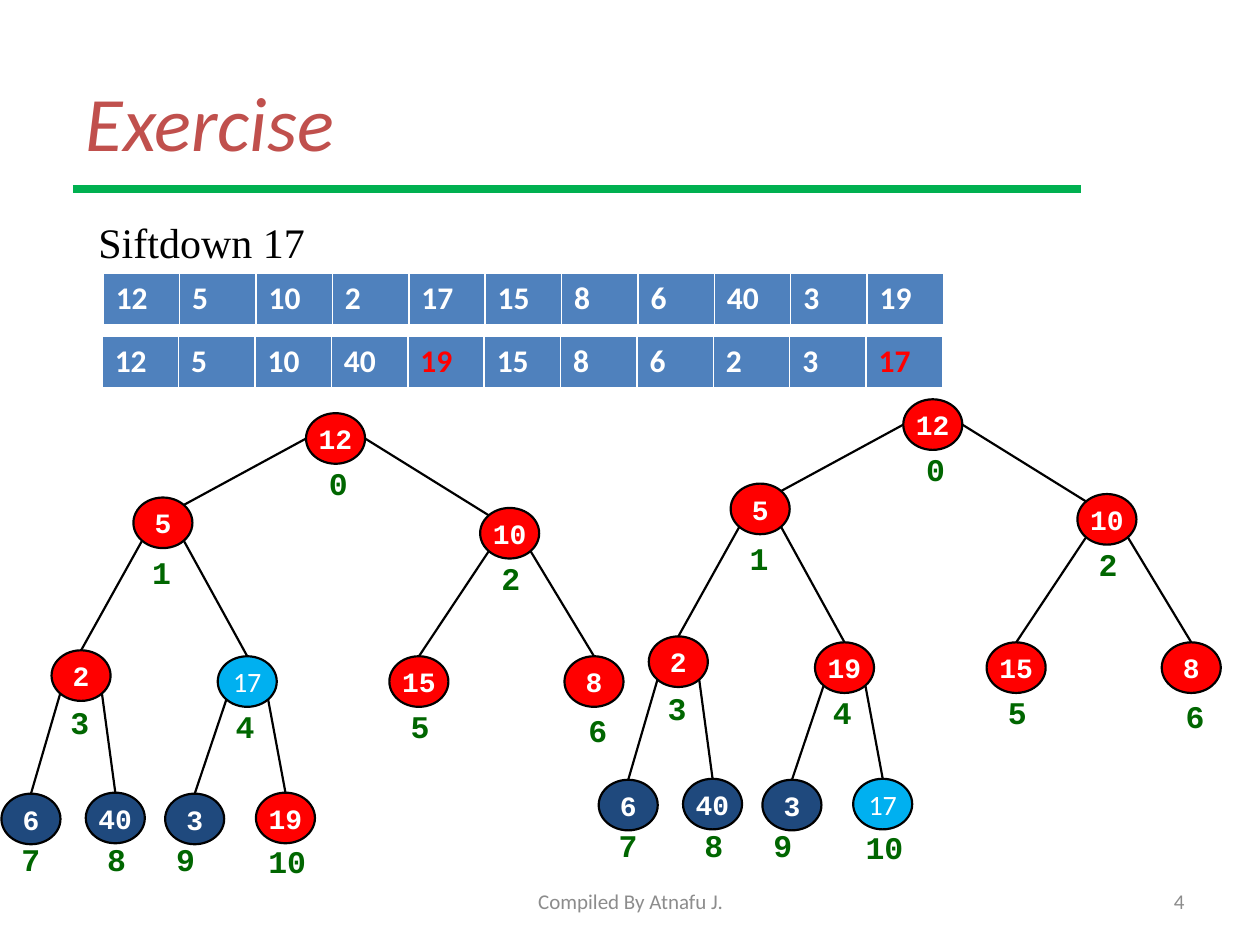
from dataclasses import dataclass

from lxml import etree
from pptx import Presentation
from pptx.dml.color import RGBColor
from pptx.enum.shapes import MSO_CONNECTOR, MSO_SHAPE
from pptx.enum.text import MSO_ANCHOR, PP_ALIGN
from pptx.oxml.ns import qn
from pptx.util import Cm, Pt

STRAIGHT = MSO_CONNECTOR.STRAIGHT
OVAL = MSO_SHAPE.OVAL
MIDDLE = MSO_ANCHOR.MIDDLE
LEFT, CENTER, RIGHT = PP_ALIGN.LEFT, PP_ALIGN.CENTER, PP_ALIGN.RIGHT


@dataclass(frozen=True)
class Theme:
    sans: str = "Calibri"
    serif: str = "Times New Roman"
    mono: str = "Courier New"
    white: str = "FFFFFF"
    black: str = "000000"
    red: str = "FF0000"
    sky: str = "00B0F0"
    navy: str = "1F497D"
    blue: str = "4F81BD"
    brick: str = "C0504D"
    green: str = "00B050"
    forest: str = "006600"
    gray: str = "8C8C8C"
    title: float = 44
    body: float = 24
    label: float = 18
    node: float = 16
    foot: float = 12
    rule: float = 4.25
    edge: float = 1.25


WIDE, HIGH = 1.19, 1.02
DIAG = 0.5 ** 0.5
MOVED = 17
LEAVES = (7, 8, 9)
NODES = [(6.17, 8.33), (2.69, 10.03), (9.68, 10.24), (1.04, 13.11),
         (4.39, 13.23), (7.85, 13.23), (11.38, 13.23), (0.03, 16),
         (1.73, 15.98), (3.33, 16), (5.16, 15.98)]
LABELS = [(6.38, 9.22), (2.82, 11.02), (9.86, 11.15), (1.17, 14.05),
          (4.5, 14.12), (8.03, 14.12), (11.61, 14.2), (0.18, 16.81),
          (1.91, 16.81), (3.3, 16.81), (5.16, 16.84)]
BEFORE = [12, 5, 10, 2, 17, 15, 8, 6, 40, 3, 19]
SIFTED = [12, 5, 10, 2, 19, 15, 8, 6, 40, 3, 17]
AFTER = [12, 5, 10, 40, 19, 15, 8, 6, 2, 3, 17]


class Deck:
    """Draw styled parts on the current slide."""

    def __init__(self, theme):
        self.theme = theme
        self.show = Presentation()
        self.show.slide_width, self.show.slide_height = Cm(25.4), Cm(19.05)
        self.slide = self.show.slides.add_slide(self.show.slide_layouts[1])

    def put(self, frame, text, font, size, color, align=LEFT,
            bold=False, slant=False):
        para = frame.paragraphs[0]
        para.alignment = align
        run = para.add_run()
        run.text = str(text)
        run.font.name, run.font.size = font, Pt(size)
        run.font.bold, run.font.italic = bold, slant
        run.font.color.rgb = RGBColor.from_string(color)
        return para

    def place(self, shape, x, y, wide, high):
        shape.left, shape.top = Cm(x), Cm(y)
        shape.width, shape.height = Cm(wide), Cm(high)

    def title(self, text):
        t, shape = self.theme, self.slide.shapes.title
        self.place(shape, 1.47, 0.84, 22.86, 3.18)
        self.put(shape.text_frame, text, t.sans, t.title, t.brick, slant=True)

    def body(self, text):
        t, shape = self.theme, self.slide.placeholders[1]
        self.place(shape, 1.73, 4.24, 21.59, 13.54)
        para = self.put(shape.text_frame, text, t.serif, t.body, t.black)
        props = para._p.get_or_add_pPr()
        etree.SubElement(props, qn("a:buNone"))

    def text(self, text, x, y, wide, font, size, color, align=LEFT, bold=False):
        frame = self.slide.shapes.add_textbox(
            Cm(x), Cm(y), Cm(wide), Cm(HIGH)).text_frame
        frame.word_wrap = True
        self.put(frame, text, font, size, color, align, bold)
        return frame

    def foot(self, text, x, wide, align):
        t = self.theme
        frame = self.text(text, x, 17.65, wide, t.sans, t.foot, t.gray, align)
        frame.vertical_anchor = MIDDLE

    def line(self, start, end, color, width):
        line = self.slide.shapes.add_connector(
            STRAIGHT, *(Cm(n) for n in (*start, *end)))
        line.line.color.rgb = RGBColor.from_string(color)
        line.line.width = Pt(width)
        etree.SubElement(line._element.spPr, qn("a:effectLst"))
        return line

    def node(self, value, x, y, fill):
        t = self.theme
        shape = self.slide.shapes.add_shape(
            OVAL, Cm(x), Cm(y), Cm(WIDE), Cm(HIGH))
        shape.shadow.inherit = False
        shape.fill.solid()
        shape.fill.fore_color.rgb = RGBColor.from_string(fill)
        shape.line.color.rgb = RGBColor.from_string(t.black)
        shape.line.width = Pt(t.edge)
        frame = shape.text_frame
        frame.word_wrap, frame.vertical_anchor = False, MIDDLE
        moved = value == MOVED
        self.put(frame, value, t.sans if moved else t.mono, t.node,
                 t.white, CENTER, not moved)
        return shape

    def edge(self, spots, shapes, child):
        t, root = self.theme, (child - 1) // 2
        side = -1 if child % 2 else 1

        def point(index, across, down):
            x, y = spots[index]
            return x + WIDE / 2 * (1 + across), y + HIGH / 2 * (1 + down)

        if root == 0:
            start = point(root, side, 0)
            end = point(child, -side * DIAG, -DIAG)
        else:
            start = point(root, side * DIAG, DIAG)
            end = point(child, 0, -1)
        line = self.line(start, end, t.black, t.edge)
        if root:
            line.end_connect(shapes[child], 0)

    def tree(self, values, dx=0, dy=0):
        t = self.theme
        spots = [(x + dx, y + dy) for x, y in NODES]
        shapes = []
        for index, (value, spot) in enumerate(zip(values, spots)):
            fill = (t.sky if value == MOVED
                    else t.navy if index in LEAVES else t.red)
            shapes.append(self.node(value, *spot, fill))
        for child in range(1, len(values)):
            self.edge(spots, shapes, child)
        for index, (x, y) in enumerate(LABELS):
            wide = 0.84 if index < 9 else 1.4
            self.text(index, x + dx, y + dy, wide, t.mono, t.label,
                      t.forest, bold=True)

    def table(self, values, x, y, marks=()):
        t = self.theme
        grid = self.slide.shapes.add_table(
            1, len(values), Cm(x), Cm(y), Cm(16.94), Cm(1.03)).table
        for index, value in enumerate(values):
            cell = grid.cell(0, index)
            cell.fill.solid()
            cell.fill.fore_color.rgb = RGBColor.from_string(t.blue)
            color = t.red if value in marks else t.white
            self.put(cell.text_frame, value, t.sans, t.label, color, bold=True)


def main():
    theme = Theme()
    deck = Deck(theme)
    deck.title("Exercise")
    deck.body("Siftdown 17")
    deck.line((1.47, 3.81), (21.79, 3.81), theme.green, theme.rule)
    deck.foot("4", 18.21, 5.92, RIGHT)
    deck.foot("Compiled By Atnafu J.", 8.69, 8.05, CENTER)
    deck.tree(BEFORE)
    deck.table(AFTER, 2.06, 6.78, (19, MOVED))
    deck.tree(SIFTED, 12.04, -0.28)
    deck.table(BEFORE, 2.08, 5.51)
    deck.show.save("out.pptx")


if __name__ == "__main__":
    main()
